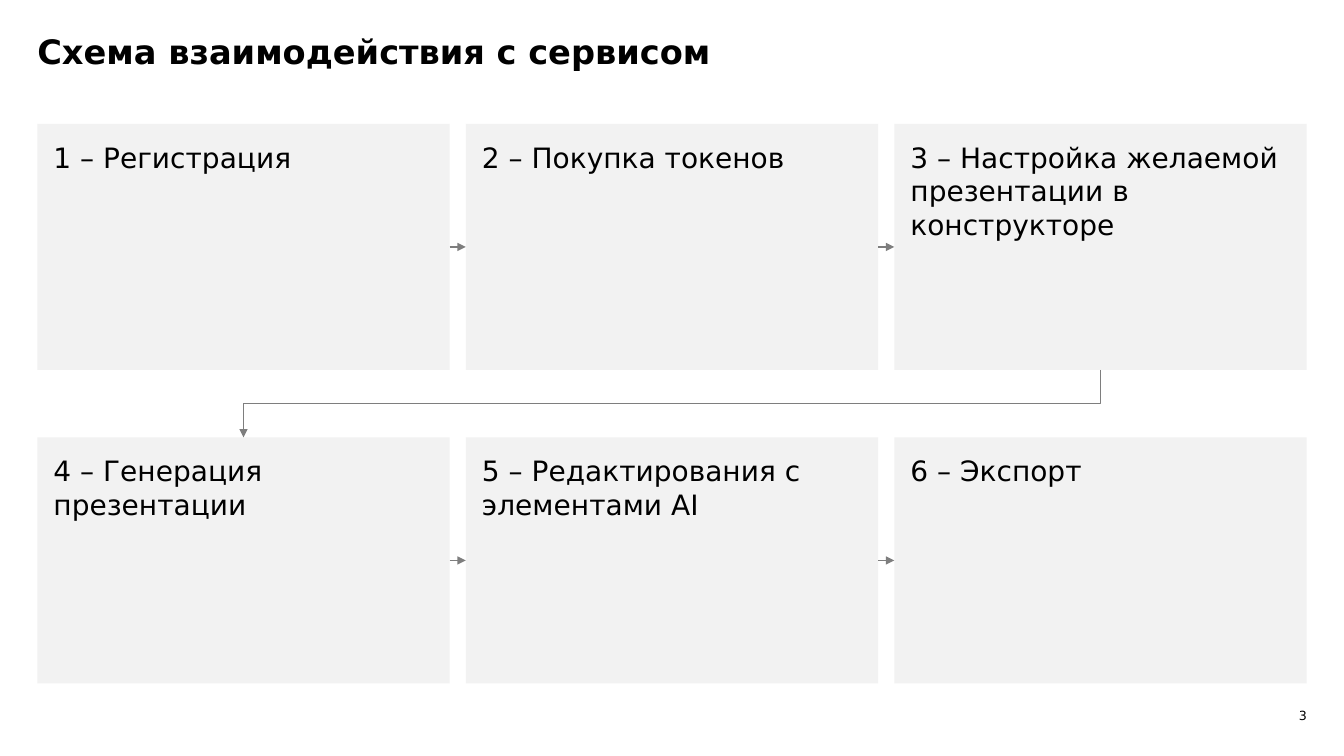
from dataclasses import dataclass

from lxml import etree
from pptx import Presentation
from pptx import util as u
from pptx.dml.color import RGBColor
from pptx.enum import shapes, text
from pptx.oxml.ns import qn


@dataclass(frozen=True)
class Theme:
    font: str = "DejaVu Sans"
    ink: RGBColor = RGBColor(0x00, 0x00, 0x00)
    card: RGBColor = RGBColor(0xF2, 0xF2, 0xF2)
    arrow: RGBColor = RGBColor(0x7E, 0x7E, 0x7E)
    title_size: int = 24
    step_size: int = 20
    number_size: int = 9


THEME = Theme()
SLIDE_W, SLIDE_H = 13.33, 7.5
TITLE_BOX = (0.37, 0.31, 8.76, 0.4)
GRID_BOX = (0.37, 1.23, 12.59, 5.55)
NUMBER_BOX = (9.54, 6.9, 3.52, 0.4)
COLS, COL_GAP = 3, 0.16
ROWS, ROW_GAP = 2, 0.67
PADDING = 0.16

STEPS = [
    "1 – Регистрация",
    "2 – Покупка токенов",
    "3 – Настройка желаемой презентации в конструкторе",
    "4 – Генерация презентации",
    "5 – Редактирования с элементами AI",
    "6 – Экспорт",
]


def inches(*values):
    return [u.Inches(v) for v in values]


def write(sp, words, size, bold=False, align=text.PP_ALIGN.LEFT,
          anchor=text.MSO_ANCHOR.MIDDLE, inset=None, before=0):
    tf = sp.text_frame
    tf.word_wrap = True
    tf.auto_size = text.MSO_AUTO_SIZE.NONE
    tf.vertical_anchor = anchor
    if inset is not None:
        tf.margin_left = tf.margin_top = u.Inches(inset)
        tf.margin_right = tf.margin_bottom = u.Inches(inset)
    p = tf.paragraphs[0]
    p.text = words
    p.alignment = align
    p.space_before = u.Pt(before)
    p.font.name, p.font.size, p.font.bold = THEME.font, u.Pt(size), bold
    p.font.color.rgb = THEME.ink


def add_title(s, box, words):
    sp = s.shapes.title
    sp.left, sp.top, sp.width, sp.height = inches(*box)
    write(sp, words, THEME.title_size, bold=True, inset=0)


def add_card(s, box, words):
    sp = s.shapes.add_shape(shapes.MSO_SHAPE.RECTANGLE, *inches(*box))
    sp.shadow.inherit = False
    sp.fill.solid()
    sp.fill.fore_color.rgb = THEME.card
    sp.line.fill.background()
    write(sp, words, THEME.step_size, anchor=text.MSO_ANCHOR.TOP,
          inset=PADDING, before=6)
    return sp


def add_arrow(s, kind, *ends):
    cxn = s.shapes.add_connector(kind, *ends)
    cxn.line.color.rgb = THEME.arrow
    cxn.line.width = u.Pt(1)
    etree.SubElement(cxn.line._get_or_add_ln(), qn("a:tailEnd"), type="triangle")
    etree.SubElement(cxn._element.spPr, qn("a:effectLst"))
    return cxn


def join_in_row(s, left, right):
    cxn = add_arrow(s, shapes.MSO_CONNECTOR.STRAIGHT, 0, 0, 0, 0)
    cxn.begin_connect(left, 3)
    cxn.end_connect(right, 1)


def join_rows(s, upper, lower):
    # The elbow is laid out sideways, then turned 90° about its centre
    x1, y1 = upper.left + upper.width // 2, upper.top + upper.height
    x2, y2 = lower.left + lower.width // 2, lower.top
    mid_x, mid_y = (x1 + x2) // 2, (y1 + y2) // 2
    half_run, half_drop = abs(x1 - x2) // 2, (y2 - y1) // 2
    cxn = add_arrow(s, shapes.MSO_CONNECTOR.ELBOW,
                    mid_x - half_drop, mid_y - half_run,
                    mid_x + half_drop, mid_y + half_run)
    cxn._element.spPr.find(qn("a:xfrm")).set("rot", str(90 * 60000))


def add_steps(s, box, steps):
    left, top, width, height = box
    w = (width - (COLS - 1) * COL_GAP) / COLS
    h = (height - (ROWS - 1) * ROW_GAP) / ROWS
    cards = []
    for i, words in enumerate(steps):
        row, col = divmod(i, COLS)
        x, y = left + col * (w + COL_GAP), top + row * (h + ROW_GAP)
        cards.append(add_card(s, (x, y, w, h), words))
    for i, (card, following) in enumerate(zip(cards, cards[1:]), 1):
        join = join_in_row if i % COLS else join_rows
        join(s, card, following)


def add_number(s, box, number):
    sp = s.shapes.add_textbox(*inches(*box))
    write(sp, number, THEME.number_size, align=text.PP_ALIGN.RIGHT)


def main():
    prs = Presentation()
    prs.slide_width, prs.slide_height = inches(SLIDE_W, SLIDE_H)
    s = prs.slides.add_slide(prs.slide_layouts[5])  # title only
    add_title(s, TITLE_BOX, "Схема взаимодействия с сервисом")
    add_steps(s, GRID_BOX, STEPS)
    add_number(s, NUMBER_BOX, "3")
    prs.save("out.pptx")


if __name__ == "__main__":
    main()
